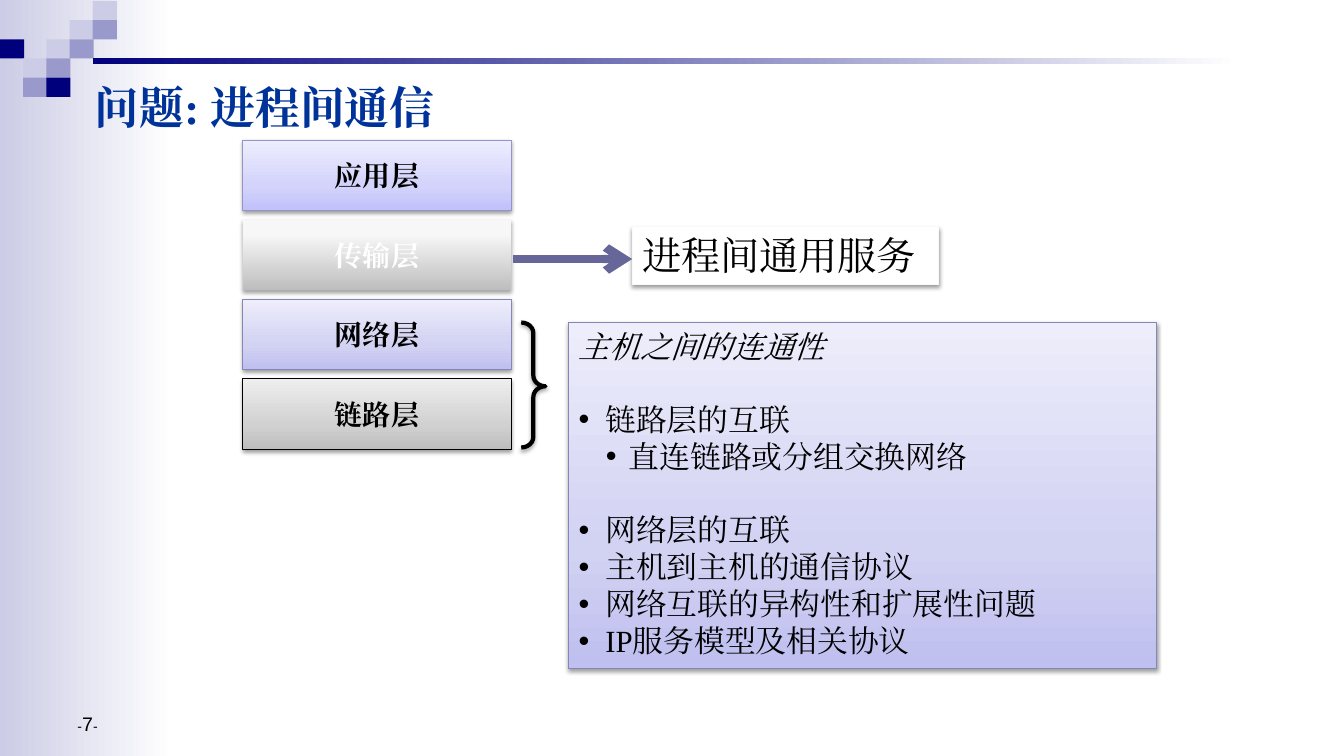
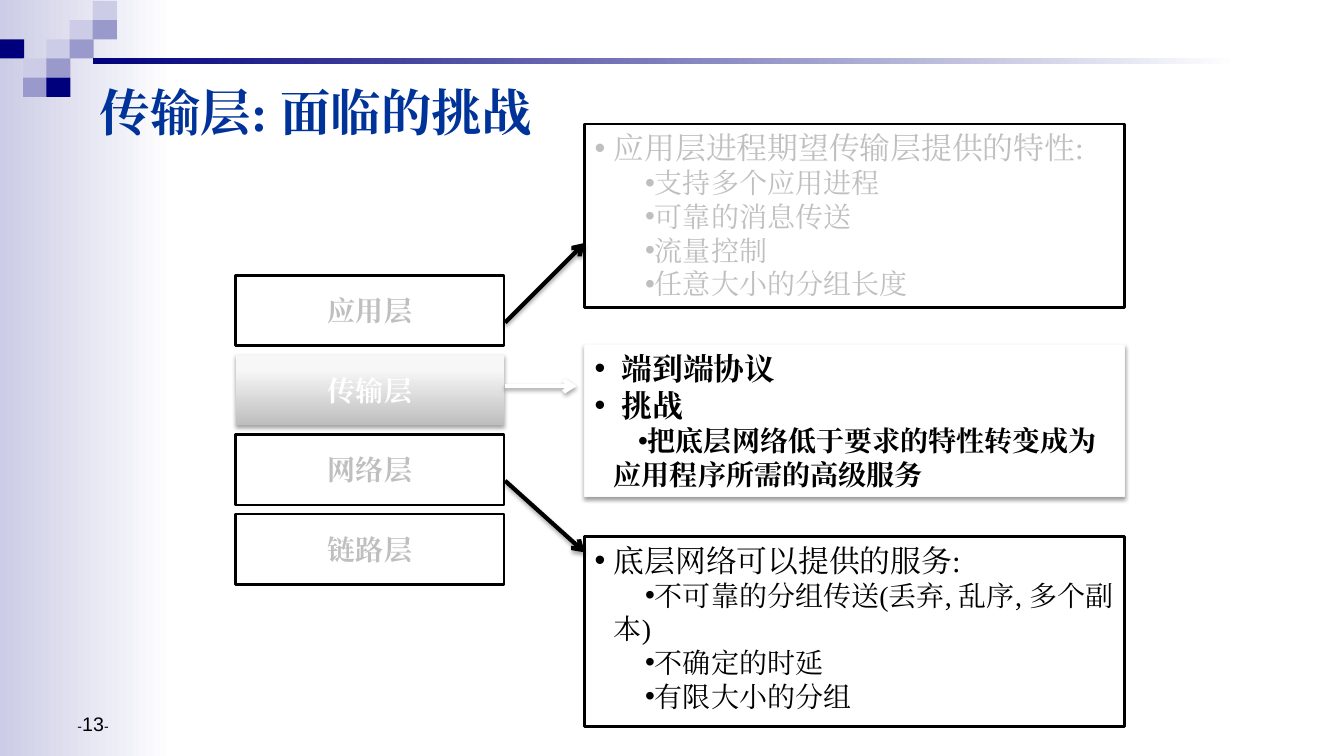
from dataclasses import dataclass

from lxml import etree
from pptx import Presentation
from pptx.dml.color import RGBColor
from pptx.enum.shapes import MSO_CONNECTOR, MSO_SHAPE
from pptx.enum.text import MSO_ANCHOR, PP_ALIGN
from pptx.oxml.ns import qn
from pptx.util import Inches, Pt

RECT, BRACE = MSO_SHAPE.RECTANGLE, MSO_SHAPE.RIGHT_BRACE
STRAIGHT = MSO_CONNECTOR.STRAIGHT
TOP, MID, LOW = MSO_ANCHOR.TOP, MSO_ANCHOR.MIDDLE, MSO_ANCHOR.BOTTOM
LEFT, CENTER = PP_ALIGN.LEFT, PP_ALIGN.CENTER


@dataclass(frozen=True)
class Theme:
    """Hold the colours, fonts and type sizes of the deck."""
    serif: str = "Times New Roman"
    sans: str = "Arial"
    black: str = "000000"
    white: str = "FFFFFF"
    muted: str = "BFBFBF"
    edge: str = "F9F9F9"
    title: str = "003399"
    navy: str = "00007D"
    mid: str = "9999CC"
    pale: str = "CCCCE6"
    slate: str = "666699"
    rim: str = "8686B6"
    rim_app: str = "9494C9"
    violet: tuple = ((0, "BFBFF0"), (35, "D2D2F3"), (100, "EDEDFB"))
    lilac: tuple = ((0, "C1C1FB"), (35, "D3D3FB"), (100, "EDEDFF"))
    silver: tuple = ((0, "BEBEBE"), (80, "F7F7F7"), (100, "F8F8F8"))
    gray: tuple = ((0, "BDBDBD"), (35, "D1D1D1"), (100, "EEEEEE"))
    soft: tuple = (38, 1.6)
    deep: tuple = (35, 1.8)
    large: int = 28
    lead: int = 22
    body: int = 20
    page: int = 14
    dash: int = 10


T = Theme()
LAYERS = ("应用层", "传输层", "网络层", "链路层")
PIXELS = ("....L", "...LM", "D.LM.", ".LM..", ".MD..")
SHADES = {"L": T.pale, "M": T.mid, "D": T.navy}
PITCH, TALL, WIDE = 0.79, 0.7, 2.66
HANG = (0.19, -0.19)
CARD = {"fill": T.white, "line": T.edge, "shade": T.soft}
PLAIN = {"fill": T.white, "line": T.black, "thick": 2}
GLOW = {"fill": T.silver, "shade": T.deep, "ink": T.white}


def rgb(code):
    """Turn a hex code into a colour."""
    return RGBColor.from_string(code)


def node(parent, tag, **attrs):
    """Append a drawing element with attributes."""
    item = etree.SubElement(parent, qn(tag))
    for key, val in attrs.items():
        item.set(key, str(val))
    return item


def blend(shape, stops, angle):
    """Fill a shape with a linear gradient."""
    shape.fill.gradient()
    shape.fill.gradient_angle = angle
    ramp = shape._element.spPr.find(".//" + qn("a:gsLst"))
    for old in list(ramp):
        ramp.remove(old)
    for spot, code in stops:
        stop = node(ramp, "a:gs", pos=spot * 1000)
        node(stop, "a:srgbClr", val=code)


def cast(effects, shade):
    """Add a downward shadow to an effect list."""
    alpha, dist = shade
    drop = node(effects, "a:outerShdw", blurRad=Pt(3.1), dist=Pt(dist),
                dir=5400000, rotWithShape=0)
    tint = node(drop, "a:srgbClr", val=T.black)
    node(tint, "a:alpha", val=alpha * 1000)


def draw(slide, box, fill=None, line=None, thick=0.75, shade=None,
         kind=RECT, angle=90):
    """Add a shape in a box with fill, line and shadow."""
    shape = slide.shapes.add_shape(kind, *map(Inches, box))
    shape.shadow.inherit = False
    if fill is None:
        shape.fill.background()
    elif isinstance(fill, str):
        shape.fill.solid()
        shape.fill.fore_color.rgb = rgb(fill)
    else:
        blend(shape, fill, angle)
    if line:
        shape.line.color.rgb = rgb(line)
        shape.line.width = Pt(thick)
    else:
        shape.line.fill.background()
    if shade:
        cast(shape._element.spPr.find(qn("a:effectLst")), shade)
    return shape


def arrow(slide, start, end, ink, thick=3, shade=None):
    """Add an arrow between two points."""
    link = slide.shapes.add_connector(STRAIGHT, *map(Inches, start + end))
    link.line.color.rgb = rgb(ink)
    link.line.width = Pt(thick)
    props = link._element.spPr
    node(props.find(qn("a:ln")), "a:tailEnd", type="arrow")
    effects = node(props, "a:effectLst")
    if shade:
        cast(effects, shade)


def write(shape, text, size=T.body, ink=T.black, font=T.serif, bold=False,
          slant=False, align=LEFT, anchor=TOP, wrap=True, bullet=None, gap=0):
    """Add a paragraph of one run, or of (text, size) runs."""
    frame = shape.text_frame
    frame.word_wrap = wrap
    frame.vertical_anchor = anchor
    para = frame.paragraphs[0]
    if para.runs:
        para = frame.add_paragraph()
    para.alignment = align
    para.space_before = Pt(gap)
    if bullet:
        props = para._p.get_or_add_pPr()
        props.set("marL", str(Inches(bullet[0])))
        props.set("indent", str(Inches(bullet[1])))
        node(props, "a:buFont", typeface=T.sans)
        node(props, "a:buChar", char="•")
    for words, points in [(text, size)] if isinstance(text, str) else text:
        run = para.add_run()
        run.text = words
        run.font.name = font
        run.font.size = Pt(points)
        run.font.bold = bold
        run.font.italic = slant
        run.font.color.rgb = rgb(ink)
        props = run._r.get_or_add_rPr()
        props.set("lang", "zh-CN")
        node(props, "a:ea", typeface=font)


def label(slide, box, text, **fmt):
    """Add a text box with one paragraph."""
    write(slide.shapes.add_textbox(*map(Inches, box)), text, **fmt)


def base(deck, title, spot, size, page):
    """Start a slide with its side band, pixels, rule, title and page."""
    slide = deck.slides.add_slide(deck.slide_layouts[6])
    draw(slide, (0, 0, 1.73, 7.5), ((0, T.pale), (100, T.white)), angle=0)
    for row, cells in enumerate(PIXELS):
        for col, cell in enumerate(cells):
            if cell in SHADES:
                draw(slide, (col * 0.23, 0.01 + row * 0.19, 0.24, 0.19),
                     SHADES[cell])
    draw(slide, (0.92, 0.58, 11.37, 0.06),
         ((0, T.navy), (100, T.white)), angle=0)
    label(slide, (0.67, 6.83, 3.11, 0.52),
          [("-", T.dash), (page, T.page), ("-", T.dash)],
          font=T.sans, anchor=LOW)
    label(slide, spot + (9.13, 0.71), title, size=size, ink=T.title,
          bold=True, anchor=MID)
    return slide


def stack(slide, left, top, looks):
    """Pile up the four layer boxes, each in its own look."""
    for row, (name, look) in enumerate(zip(LAYERS, looks)):
        style = dict(look)
        ink = style.pop("ink", T.black)
        shape = draw(slide, (left, top + row * PITCH, WIDE, TALL), **style)
        write(shape, name, ink=ink, bold=True, align=CENTER, anchor=MID)


def panel(slide, box, rows, look, **fmt):
    """Add a box of paragraphs given as (text, format) pairs."""
    shape = draw(slide, box, **look)
    for text, extra in rows:
        write(shape, text, **{**fmt, **extra})


def talk(deck):
    """Build the slide on communication between processes."""
    slide = base(deck, "问题: 进程间通信", (0.84, 0.7), 32, "7")
    left, top = 2.41, 1.39
    net = {"fill": T.violet, "line": T.rim, "shade": T.soft}
    app = {"fill": T.lilac, "line": T.rim_app, "shade": T.soft}
    link = {"fill": T.gray, "line": T.black, "shade": T.soft}
    stack(slide, left, top, (app, GLOW, net, link))
    brace = draw(slide, (left + 2.76, 3.2, 0.24, 1.24), line=T.black,
                 thick=3, shade=T.deep, kind=BRACE)
    brace.adjustments[0] = 0.44
    brace.adjustments[1] = 0.51
    item = {"bullet": HANG}
    panel(slide, (5.64, 3.2, 5.83, 3.43), (
        ("主机之间的连通性", {"slant": True}),
        (" 链路层的互联", {"bullet": HANG, "gap": 26}),
        ("直连链路或分组交换网络", {"bullet": (0.5, -0.23)}),
        (" 网络层的互联", {"bullet": HANG, "gap": 26}),
        (" 主机到主机的通信协议", item),
        (" 网络互联的异构性和扩展性问题", item),
        (" IP服务模型及相关协议", item),
    ), net, size=T.lead)
    panel(slide, (6.27, 2.25, 3.04, 0.57), (("进程间通用服务", {}),),
          CARD, size=T.large, wrap=False)
    arrow(slide, (left + WIDE + 0.02, 2.57), (6.27, 2.57), T.slate, 6)


def task(deck):
    """Build the slide on the challenges of the transport layer."""
    slide = base(deck, "传输层: 面临的挑战", (0.89, 0.75), 36, "13")
    left, top, side = 2.34, 2.73, 5.8
    faint = {**PLAIN, "ink": T.muted}
    stack(slide, left, top, (faint, GLOW, faint, faint))
    head = {"size": T.lead, "bullet": HANG}
    item = {"bullet": (0.19, 0.31)}
    panel(slide, (side, 5.32, 5.35, 1.89), (
        ("底层网络可以提供的服务:", head),
        ("不可靠的分组传送(丢弃, 乱序, 多个副本)", item),
        ("不确定的时延", item),
        ("有限大小的分组", item),
    ), PLAIN)
    panel(slide, (side, 1.23, 5.35, 1.82), (
        ("应用层进程期望传输层提供的特性:", head),
        ("支持多个应用进程", item),
        ("可靠的消息传送", item),
        ("流量控制", item),
        ("任意大小的分组长度", item),
    ), PLAIN, ink=T.muted)
    panel(slide, (side, 3.42, 5.35, 1.51), (
        (" 端到端协议", head),
        (" 挑战", head),
        ("把底层网络低于要求的特性转变成为应用程序所需的高级服务",
         {"bullet": (0.19, 0.24)}),
    ), CARD, bold=True)
    start = left + WIDE + 0.01
    for high, end, ink in ((3.2, (side, 2.41), T.black),
                           (4.77, (side, 5.48), T.black),
                           (3.83, (side - 0.08, 3.83), T.white)):
        arrow(slide, (start, high), end, ink, shade=T.deep)


def main():
    """Build the deck and save it."""
    deck = Presentation()
    deck.slide_width, deck.slide_height = Inches(13.33), Inches(7.5)
    talk(deck)
    task(deck)
    deck.save("out.pptx")


if __name__ == "__main__":
    main()
